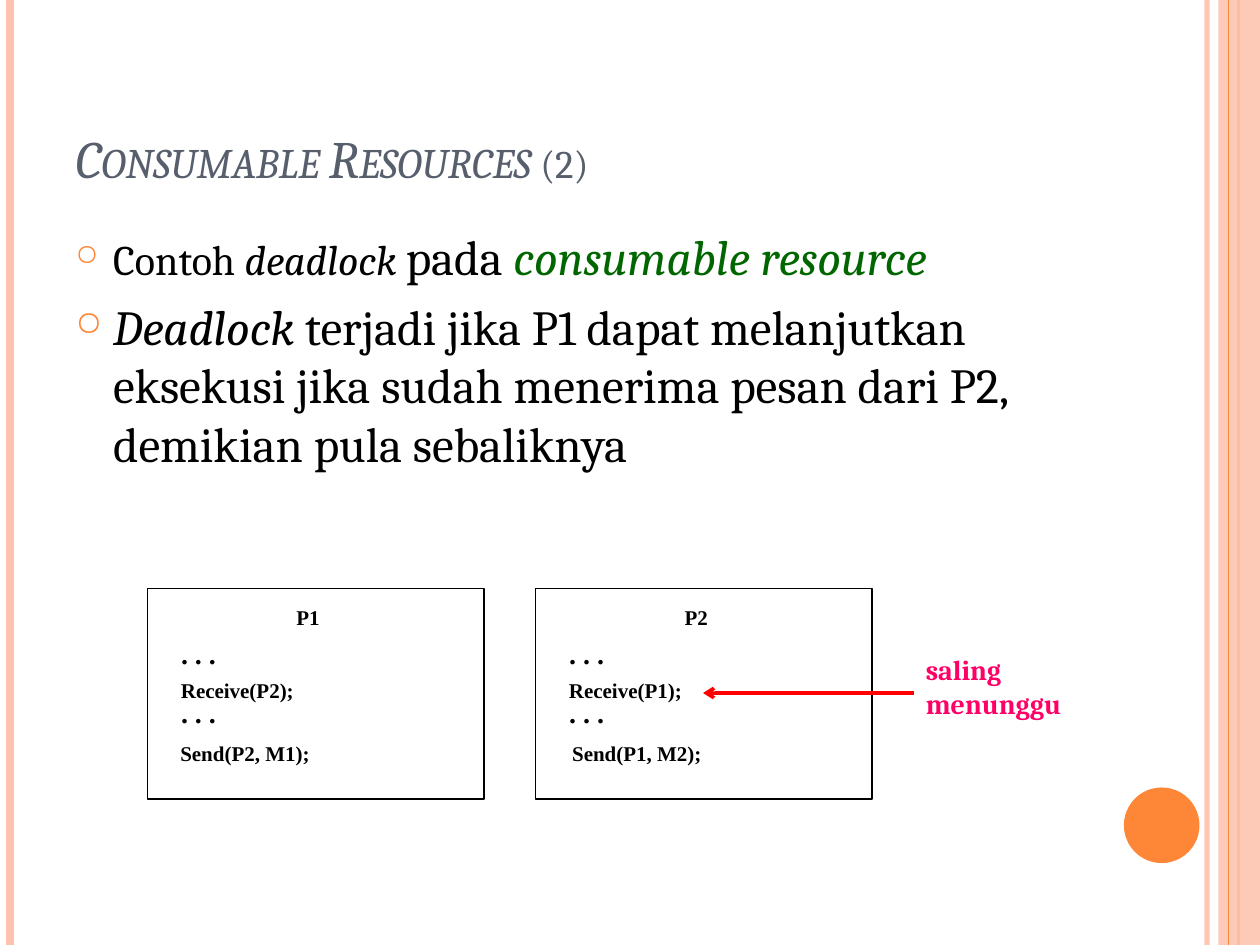
from lxml import etree
from pptx import Presentation
from pptx.dml.color import RGBColor
from pptx.enum.shapes import MSO_CONNECTOR, MSO_SHAPE
from pptx.enum.text import MSO_ANCHOR, PP_ALIGN
from pptx.oxml.ns import qn
from pptx.util import Inches, Pt

RECT, OVAL = MSO_SHAPE.RECTANGLE, MSO_SHAPE.OVAL
STRAIGHT = MSO_CONNECTOR.STRAIGHT
TOP, BOTTOM = MSO_ANCHOR.TOP, MSO_ANCHOR.BOTTOM
LEFT, CENTER = PP_ALIGN.LEFT, PP_ALIGN.CENTER

ORANGE, PEACH, SLATE, GREEN = "FE8637", "FEC3AE", "575F6D", "006600"
BLACK, WHITE, RED, PINK = "000000", "FFFFFF", "FF0000", "FF0066"
SERIF, CODE = "Cambria", "Times New Roman"


def rgb(value):
    return RGBColor.from_string(value)


def set_alpha(fill, percent):
    """Make a solid fill, or the fill of a line, partly transparent."""
    color = fill.find(".//" + qn("a:srgbClr"))
    etree.SubElement(color, qn("a:alpha"), val=str(percent * 1000))


class Deck:
    """Holds the current slide and the shared style."""

    def __init__(self, prs):
        self.slide = prs.slides.add_slide(prs.slide_layouts[6])
        self.shapes = self.slide.shapes

    def line(self, x1, y1, x2, y2, color, width, alpha=None, arrow=False):
        c = self.shapes.add_connector(
            STRAIGHT, Inches(x1), Inches(y1), Inches(x2), Inches(y2))
        c.line.color.rgb = rgb(color)
        c.line.width = Pt(width)
        ln = c.line._get_or_add_ln()
        if alpha:
            set_alpha(ln, alpha)
        if arrow:
            etree.SubElement(ln, qn("a:tailEnd"), type="arrow")
        etree.SubElement(c._element.spPr, qn("a:effectLst"))

    def shape(self, kind, x, y, w, h, fill, outline=None, alpha=None):
        sp = self.shapes.add_shape(
            kind, Inches(x), Inches(y), Inches(w), Inches(h))
        sp.shadow.inherit = False
        sp.fill.solid()
        sp.fill.fore_color.rgb = rgb(fill)
        if alpha:
            set_alpha(sp._element.spPr, alpha)
        if outline:
            sp.line.color.rgb = rgb(outline)
            sp.line.width = Pt(1)
        else:
            sp.line.fill.background()

    def text_box(self, x, y, w, h, wrap=True, anchor=TOP):
        tb = self.shapes.add_textbox(
            Inches(x), Inches(y), Inches(w), Inches(h))
        tf = tb.text_frame
        tf.word_wrap = wrap
        tf.vertical_anchor = anchor
        return tf

    def run(self, p, text, size, color=BLACK, font=SERIF, bold=False,
            italic=False, small_caps=False):
        r = p.add_run()
        r.text = text
        r.font.name = font
        r.font.size = Pt(size)
        r.font.color.rgb = rgb(color)
        r.font.bold = bold
        r.font.italic = italic
        if small_caps:
            r.font._element.set("cap", "small")

    def bullet(self, p):
        p.space_before = Pt(6)
        pPr = p._p.get_or_add_pPr()
        pPr.set("marL", str(Inches(0.3)))
        pPr.set("indent", str(Inches(-0.3)))
        color = etree.SubElement(pPr, qn("a:buClr"))
        etree.SubElement(color, qn("a:srgbClr"), val=ORANGE)
        etree.SubElement(pPr, qn("a:buSzPct"), val="70000")
        etree.SubElement(pPr, qn("a:buChar"), char="○")

    def label(self, x, y, w, h, text, size, align=CENTER):
        p = self.text_box(x, y, w, h, wrap=False).paragraphs[0]
        p.alignment = align
        self.run(p, text, size, font=CODE, bold=True)

    def process(self, x, name, receive, send, send_x):
        """Box that lists the steps of one process."""
        self.shape(RECT, x, 4.67, 2.67, 1.67, WHITE, BLACK)
        self.label(x + 1.08, 4.75, 0.39, 0.3, name, 12)
        code_x = x + 0.165
        for y in (5, 5.47):
            self.label(code_x, y, 0.48, 0.37, ". . .", 16)
        self.label(code_x, 5.33, 1.1, 0.3, receive, 12)
        self.label(send_x, 5.83, 1.23, 0.3, send, 12)


def main():
    prs = Presentation()
    prs.slide_width, prs.slide_height = Inches(10), Inches(7.5)
    deck = Deck(prs)

    deck.line(9.58, 0, 9.58, 7.5, PEACH, 3, alpha=93)
    deck.line(0.08, 0, 0.08, 7.5, PEACH, 4.5)
    deck.line(9.83, 0, 9.83, 7.5, ORANGE, 1.5)
    deck.shape(RECT, 9.67, 0, 0.33, 7.5, PEACH, alpha=87)
    deck.line(9.75, 0, 9.75, 7.5, ORANGE, 0.75)
    deck.shape(OVAL, 8.92, 6.25, 0.6, 0.6, ORANGE)

    p = deck.text_box(0.5, 0.3, 8.17, 1.25, anchor=BOTTOM).paragraphs[0]
    deck.run(p, "Consumable Resources ", 30, SLATE, italic=True,
             small_caps=True)
    deck.run(p, "(2)", 28, SLATE, small_caps=True)

    tf = deck.text_box(0.5, 1.75, 8.17, 5.33)
    p = tf.paragraphs[0]
    deck.bullet(p)
    deck.run(p, "Contoh ", 24)
    deck.run(p, "deadlock ", 24, italic=True)
    deck.run(p, "pada ", 28)
    deck.run(p, "consumable resource", 28, GREEN, italic=True)
    p = tf.add_paragraph()
    deck.bullet(p)
    deck.run(p, "Deadlock ", 28, italic=True)
    deck.run(p, "terjadi jika P1 dapat melanjutkan eksekusi jika sudah "
                "menerima pesan dari P2, demikian pula sebaliknya", 28)

    deck.process(1.17, "P1", "Receive(P2);", "Send(P2, M1);", 1.33)
    deck.process(4.25, "P2", "Receive(P1);", "Send(P1, M2);", 4.44)

    p = deck.text_box(7.25, 5.13, 1.5, 0.64).paragraphs[0]
    p.alignment = LEFT
    deck.run(p, "saling menunggu", 16, PINK, bold=True)
    deck.line(7.25, 5.5, 5.58, 5.5, RED, 2, arrow=True)

    prs.save("out.pptx")


if __name__ == "__main__":
    main()
